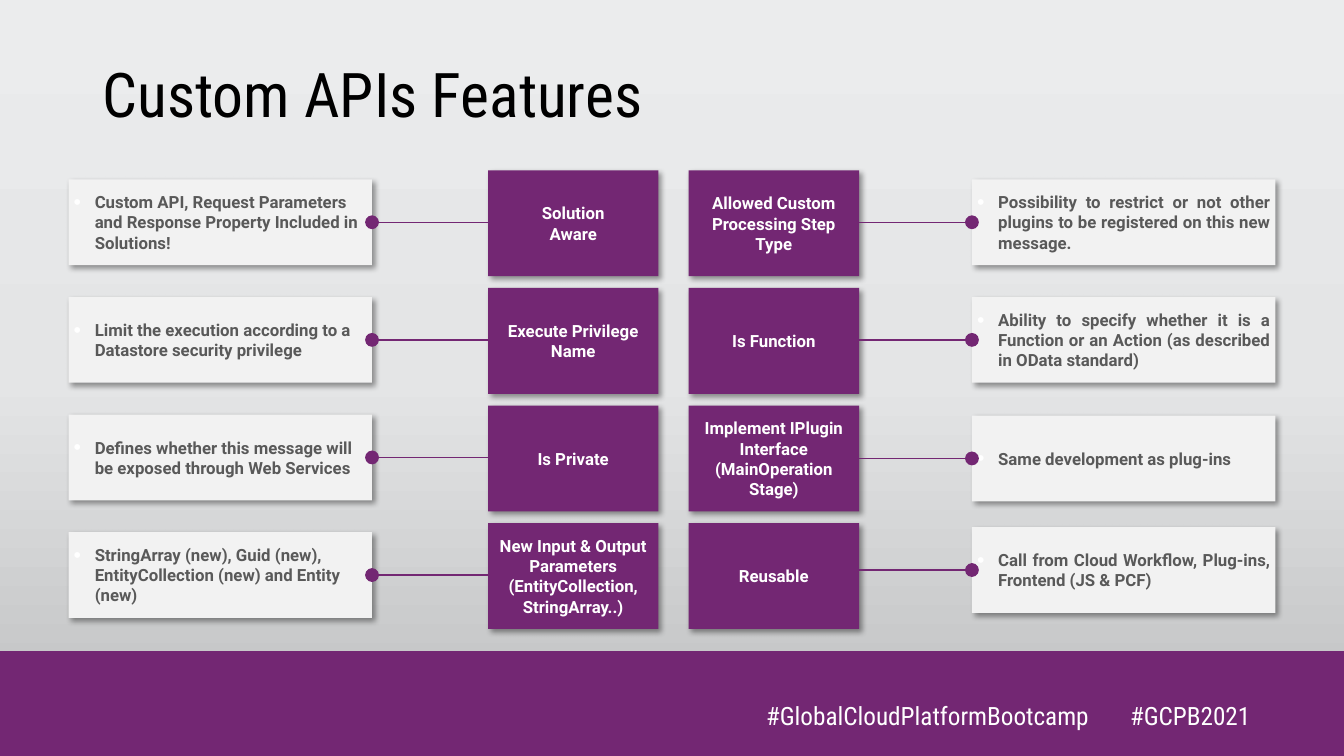
from dataclasses import dataclass

from lxml.etree import SubElement
from pptx import Presentation
from pptx.dml.color import RGBColor
from pptx.enum.shapes import MSO_CONNECTOR, MSO_SHAPE
from pptx.enum.text import MSO_ANCHOR, PP_ALIGN
from pptx.oxml.ns import qn
from pptx.util import Inches, Pt


@dataclass(frozen=True)
class Theme:
    purple: str = "732773"
    card: str = "F2F2F2"
    detail: str = "595959"
    black: str = "000000"
    white: str = "FFFFFF"
    backdrop: tuple = ((0, "EBECED"), (50, "E4E5E6"), (100, "BDBEBF"))
    heading_font: str = "Roboto Condensed"
    body_font: str = "Roboto"
    title_size: int = 44
    footer_size: int = 18
    body_size: int = 12


THEME = Theme()

ROW_PITCH = 3.5 / 3
FEATURE_TOP, FEATURE_W, FEATURE_H = 1.69, 1.69, 1.05
CARD_TOP, CARD_W, CARD_H = 1.78, 3.01, 0.85

# Each row: feature, detail, vertical nudge of the detail card
LEFT_ROWS = [
    ("Solution\nAware",
     "Custom API, Request Parameters and Response Property Included in Solutions!", 0),
    ("Execute Privilege Name",
     "Limit the execution according to a Datastore security privilege", 0),
    ("Is Private",
     "Defines whether this message will be exposed through Web Services", 0),
    ("New Input & Output Parameters (EntityCollection, StringArray..)",
     "StringArray (new), Guid (new), EntityCollection (new) and Entity (new)", 0),
]
RIGHT_ROWS = [
    ("Allowed Custom Processing Step Type",
     "Possibility to restrict or not other plugins to be registered on this new message.", 0),
    ("Is Function",
     "Ability to specify whether it is a Function or an Action (as described in OData standard)", 0),
    ("Implement IPlugin Interface (MainOperation Stage)",
     "Same development as plug-ins", 0.01),
    ("Reusable",
     "Call from Cloud Workflow, Plug-ins, Frontend (JS & PCF)", -0.05),
]


def rgb(color):
    return RGBColor.from_string(color)


def add_xml(parent, tag, **attrs):
    return SubElement(parent, qn(tag), {k: str(v) for k, v in attrs.items()})


def set_background(slide):
    fill = slide.background.fill
    fill.gradient()
    fill.gradient_angle = 270
    stops = slide.element.find(".//" + qn("a:gsLst"))
    for gs in list(stops):
        stops.remove(gs)
    for position, color in THEME.backdrop:
        gs = add_xml(stops, "a:gs", pos=position * 1000)
        add_xml(gs, "a:srgbClr", val=color)


def add_rect(slide, x, y, w, h, color):
    sp = slide.shapes.add_shape(MSO_SHAPE.RECTANGLE, Inches(x), Inches(y), Inches(w), Inches(h))
    sp.shadow.inherit = False
    sp.fill.solid()
    sp.fill.fore_color.rgb = rgb(color)
    sp.line.fill.background()
    return sp


def add_shadow(sp):
    effects = sp.element.spPr.find(qn("a:effectLst"))
    shadow = add_xml(effects, "a:outerShdw", blurRad=Pt(4), dist=Pt(3), dir=45 * 60000,
                     algn="tl", rotWithShape=0)
    add_xml(add_xml(shadow, "a:srgbClr", val=THEME.black), "a:alpha", val=40000)


def format_text(tf, font, size, color, align, bold=False):
    tf.word_wrap = True
    for p in tf.paragraphs:
        p.alignment = align
        for r in p.runs:
            r.font.name = font
            r.font.size = Pt(size)
            r.font.bold = bold
            r.font.color.rgb = rgb(color)


def add_text_box(slide, x, y, w, h, text, size, color):
    tf = slide.shapes.add_textbox(Inches(x), Inches(y), Inches(w), Inches(h)).text_frame
    tf.text = text
    format_text(tf, THEME.heading_font, size, color, PP_ALIGN.LEFT)
    return tf


def add_title(slide):
    tf = add_text_box(slide, 0.92, 0.4, 11.5, 1.13, "Custom APIs Features",
                      THEME.title_size, THEME.black)
    tf.vertical_anchor = MSO_ANCHOR.MIDDLE
    tf.paragraphs[0].line_spacing = 0.9


def add_footer(slide):
    add_rect(slide, 0, 6.46, 13.33, 1.04, THEME.purple)
    tf = add_text_box(slide, 7.5, 6.9, 5.1, 0.4, "#GlobalCloudPlatformBootcamp\t#GCPB2021",
                      THEME.footer_size, THEME.white)
    tabs = add_xml(tf.paragraphs[0]._p.get_or_add_pPr(), "a:tabLst")
    add_xml(tabs, "a:tab", pos=Inches(3.61), algn="l")


def add_feature(slide, x, y, text):
    sp = add_rect(slide, x, y, FEATURE_W, FEATURE_H, THEME.purple)
    add_shadow(sp)
    tf = sp.text_frame
    tf.text = text
    tf.vertical_anchor = MSO_ANCHOR.MIDDLE
    format_text(tf, THEME.body_font, THEME.body_size, THEME.white, PP_ALIGN.CENTER, True)


def add_bullet(p):
    pPr = p._p.get_or_add_pPr()
    pPr.set("marL", str(Inches(0.21)))
    pPr.set("indent", str(-Inches(0.21)))
    add_xml(add_xml(pPr, "a:buClr"), "a:srgbClr", val=THEME.white)
    add_xml(pPr, "a:buSzPct", val=127000)
    add_xml(pPr, "a:buFont", typeface="Arial")
    add_xml(pPr, "a:buChar", char="•")
    p.space_after = Pt(6)


def add_card(slide, x, y, text, align):
    sp = add_rect(slide, x, y, CARD_W, CARD_H, THEME.card)
    add_shadow(sp)
    tf = sp.text_frame
    tf.text = text
    tf.vertical_anchor = MSO_ANCHOR.MIDDLE
    tf.margin_left = tf.margin_right = tf.margin_top = tf.margin_bottom = Inches(0.05)
    add_bullet(tf.paragraphs[0])
    format_text(tf, THEME.body_font, THEME.body_size, THEME.detail, align, True)


def add_link(slide, x1, x2, y):
    """Horizontal line ending in a dot at x2."""
    line = slide.shapes.add_connector(MSO_CONNECTOR.STRAIGHT, Inches(x1), Inches(y),
                                      Inches(x2), Inches(y))
    line.line.color.rgb = rgb(THEME.purple)
    line.line.width = Pt(1)
    add_xml(line.line._get_or_add_ln(), "a:tailEnd", type="oval", w="lg", len="lg")
    add_xml(line.element.spPr, "a:effectLst")


def add_side(slide, rows, feature_x, card_x, link_x, align):
    """One half of the grid; link_x holds the feature edge and the card edge."""
    for i, (feature, detail, nudge) in enumerate(rows):
        card_y = CARD_TOP + i * ROW_PITCH + nudge
        add_feature(slide, feature_x, FEATURE_TOP + i * ROW_PITCH, feature)
        add_card(slide, card_x, card_y, detail, align)
        add_link(slide, *link_x, card_y + CARD_H / 2)


def main():
    prs = Presentation()
    prs.slide_width, prs.slide_height = Inches(13.33), Inches(7.5)
    slide = prs.slides.add_slide(prs.slide_layouts[6])
    set_background(slide)
    add_footer(slide)
    add_title(slide)
    add_side(slide, LEFT_ROWS, 4.84, 0.68, (4.84, 3.69), PP_ALIGN.LEFT)
    add_side(slide, RIGHT_ROWS, 6.83, 9.64, (8.52, 9.64), PP_ALIGN.JUSTIFY)
    prs.save("out.pptx")


if __name__ == "__main__":
    main()
